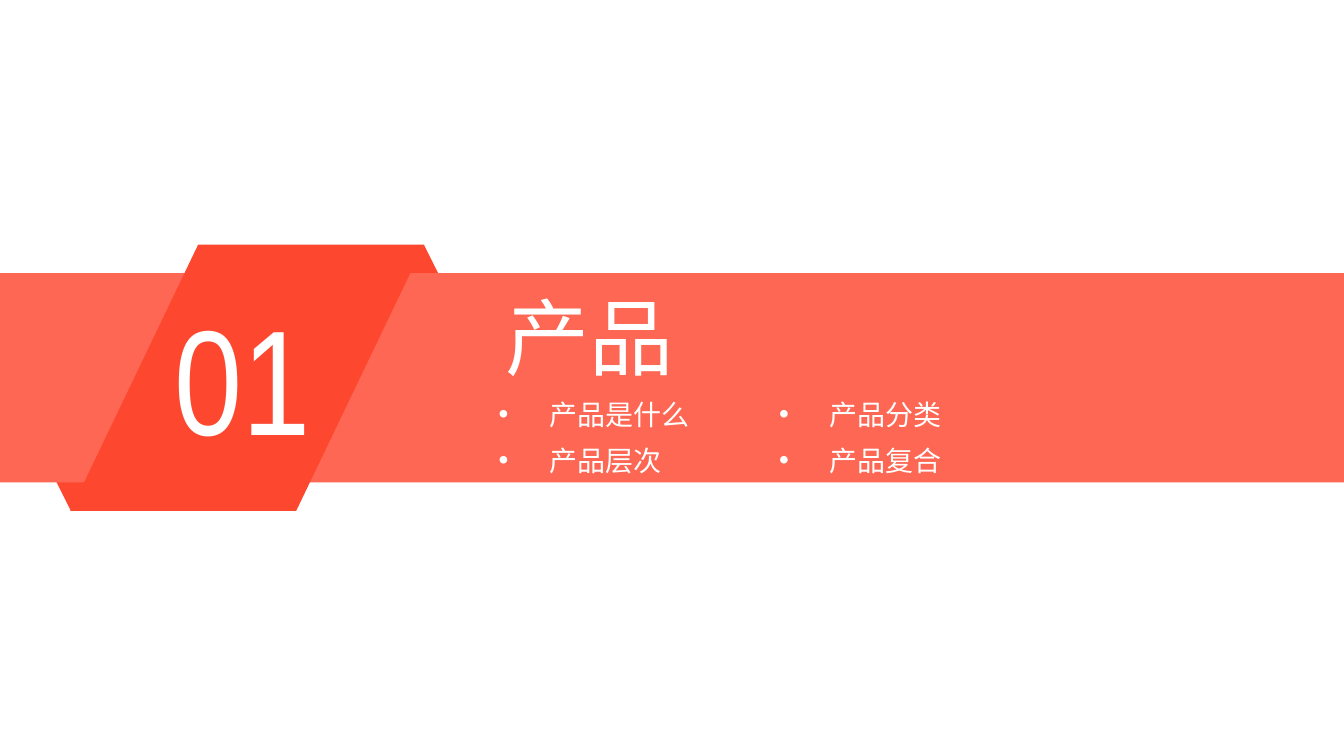
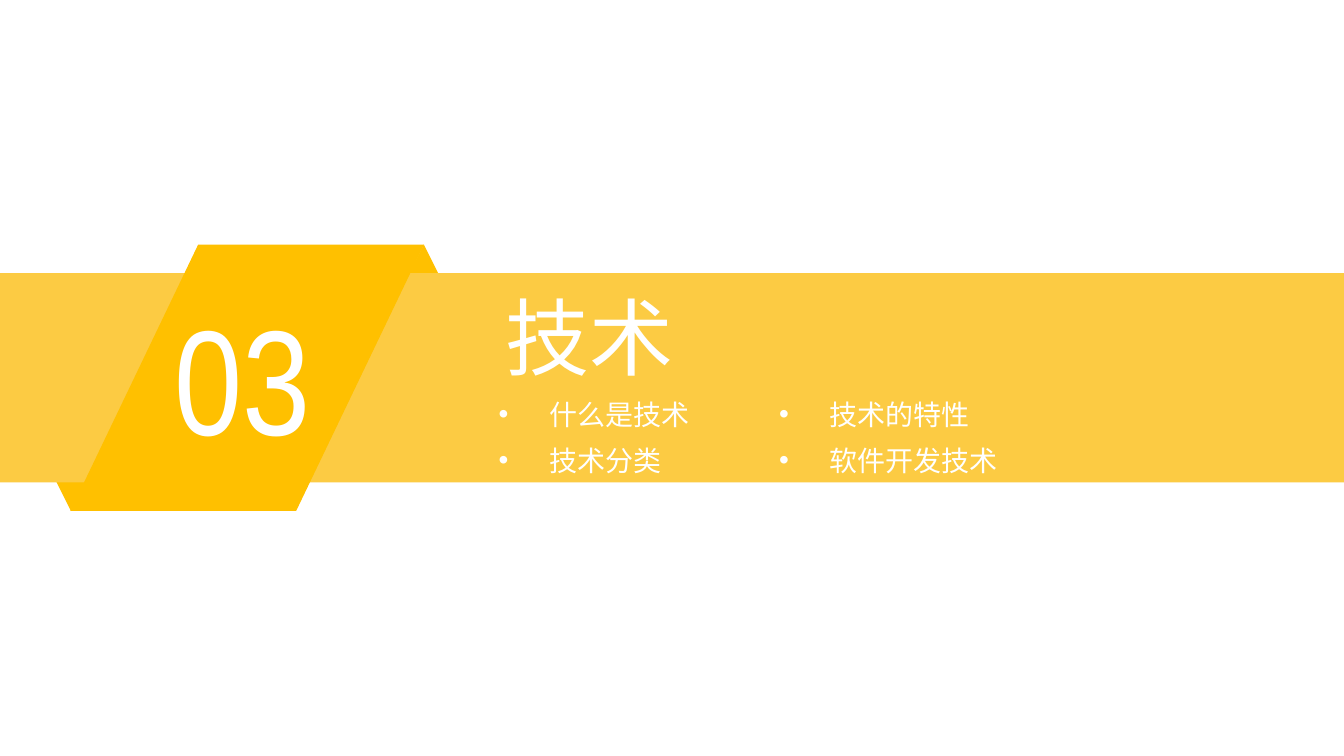
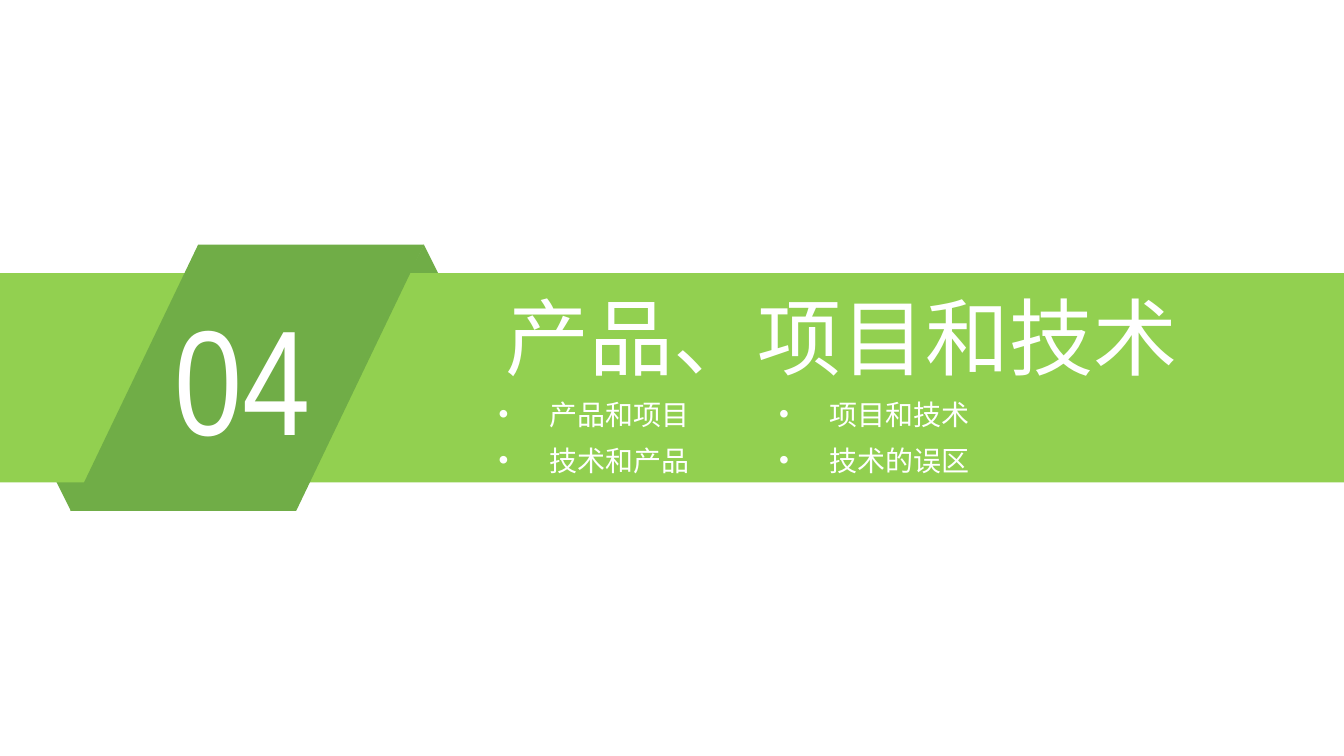
from pptx import Presentation
from pptx.dml.color import RGBColor
from pptx.enum.shapes import MSO_SHAPE
from pptx.enum.text import MSO_ANCHOR, MSO_AUTO_SIZE, PP_ALIGN
from pptx.util import Cm, Pt

TRIANGLE = MSO_SHAPE.ISOSCELES_TRIANGLE
RECTANGLE = MSO_SHAPE.RECTANGLE
PARALLELOGRAM = MSO_SHAPE.PARALLELOGRAM
TOP = MSO_ANCHOR.TOP
NO_FIT = MSO_AUTO_SIZE.NONE
LEFT = PP_ALIGN.LEFT

WHITE = RGBColor(0xFF, 0xFF, 0xFF)
RED = RGBColor(0xFD, 0x48, 0x2F)
LIGHT_RED = RGBColor(0xFD, 0x67, 0x53)
AMBER = RGBColor(0xFF, 0xC0, 0x00)
LIGHT_AMBER = RGBColor(0xFC, 0xCB, 0x43)
GREEN = RGBColor(0x70, 0xAD, 0x47)
LIGHT_GREEN = RGBColor(0x92, 0xD0, 0x50)

SLIDE_WIDTH = 35.72
LIST_LEFT = 13
LIST_STEP = 7.45
FOLD_SIZE = 3.23
RIBBON_TOP = 6.5
RIBBON_HEIGHT = 7.08

SECTIONS = [
    ("01", "产品", 14.12, RED, LIGHT_RED,
     [["产品是什么", "产品层次"], ["产品分类", "产品复合"]]),
    ("03", "技术", 14.12, AMBER, LIGHT_AMBER,
     [["什么是技术", "技术分类"], ["技术的特性", "软件开发技术"]]),
    ("04", "产品、项目和技术", 20.47, GREEN, LIGHT_GREEN,
     [["产品和项目", "技术和产品"], ["项目和技术", "技术的误区"]]),
]


def add_block(slide, preset, left, top, width, height, color):
    block = slide.shapes.add_shape(preset, Cm(left), Cm(top), Cm(width), Cm(height))
    block.shadow.inherit = False
    block.fill.solid()
    block.fill.fore_color.rgb = color
    block.line.fill.background()
    return block


def place_text(holder, left, top, width, height, lines, font_name, size, spacing=1.3):
    holder.left, holder.top = Cm(left), Cm(top)
    holder.width, holder.height = Cm(width), Cm(height)
    frame = holder.text_frame
    frame.text = "\n".join(lines)
    frame.word_wrap = True
    frame.auto_size = NO_FIT
    frame.vertical_anchor = TOP
    for paragraph in frame.paragraphs:
        paragraph.alignment = LEFT
        paragraph.line_spacing = spacing
        paragraph.space_before = Pt(0)
        paragraph.font.name = font_name
        paragraph.font.size = Pt(size)
        paragraph.font.color.rgb = WHITE
    return frame


deck = Presentation()
deck.slide_width = Cm(SLIDE_WIDTH)
deck.slide_height = Cm(20.09)
two_lists = deck.slide_layouts[3]

for number, heading, heading_width, dark, light, topics in SECTIONS:
    slide = deck.slides.add_slide(two_lists)
    title, *topic_lists = slide.placeholders

    add_block(slide, TRIANGLE, 9.65, RIBBON_TOP, FOLD_SIZE, FOLD_SIZE, dark)
    lower_fold = add_block(slide, TRIANGLE, 0.27, RIBBON_TOP + RIBBON_HEIGHT - FOLD_SIZE,
                           FOLD_SIZE, FOLD_SIZE, dark)
    lower_fold.rotation = 180
    add_block(slide, RECTANGLE, 0, 7.26, SLIDE_WIDTH, 5.56, light)
    ribbon = add_block(slide, PARALLELOGRAM, 1.87, RIBBON_TOP, 9.4, RIBBON_HEIGHT, dark)
    ribbon.adjustments[0] = 0.48

    section_number = slide.shapes.add_textbox(0, 0, 0, 0)
    number_frame = place_text(section_number, 4.36, 7.47, 5.16, 5.08,
                              [number], "Arial Narrow", 112.5, 1.0)
    number_frame.margin_left = number_frame.margin_right = Cm(0.28)

    place_text(title, 13.18, 6.65, heading_width, 3.6, [heading], "Arial", 63.3)
    slide.shapes._spTree.append(title._element)

    for column, (topic_list, names) in enumerate(zip(topic_lists, topics)):
        topic_frame = place_text(topic_list, LIST_LEFT + column * LIST_STEP, 10.16,
                                 6.68, 2.54, names, "Arial", 21.1)
        for topic in topic_frame.paragraphs:
            topic.space_after = Pt(1.8)
            properties = topic._p.get_or_add_pPr()
            properties.set("marL", str(Cm(1.35)))
            properties.set("indent", str(Cm(-1.35)))
        slide.shapes._spTree.append(topic_list._element)

deck.save("out.pptx")
